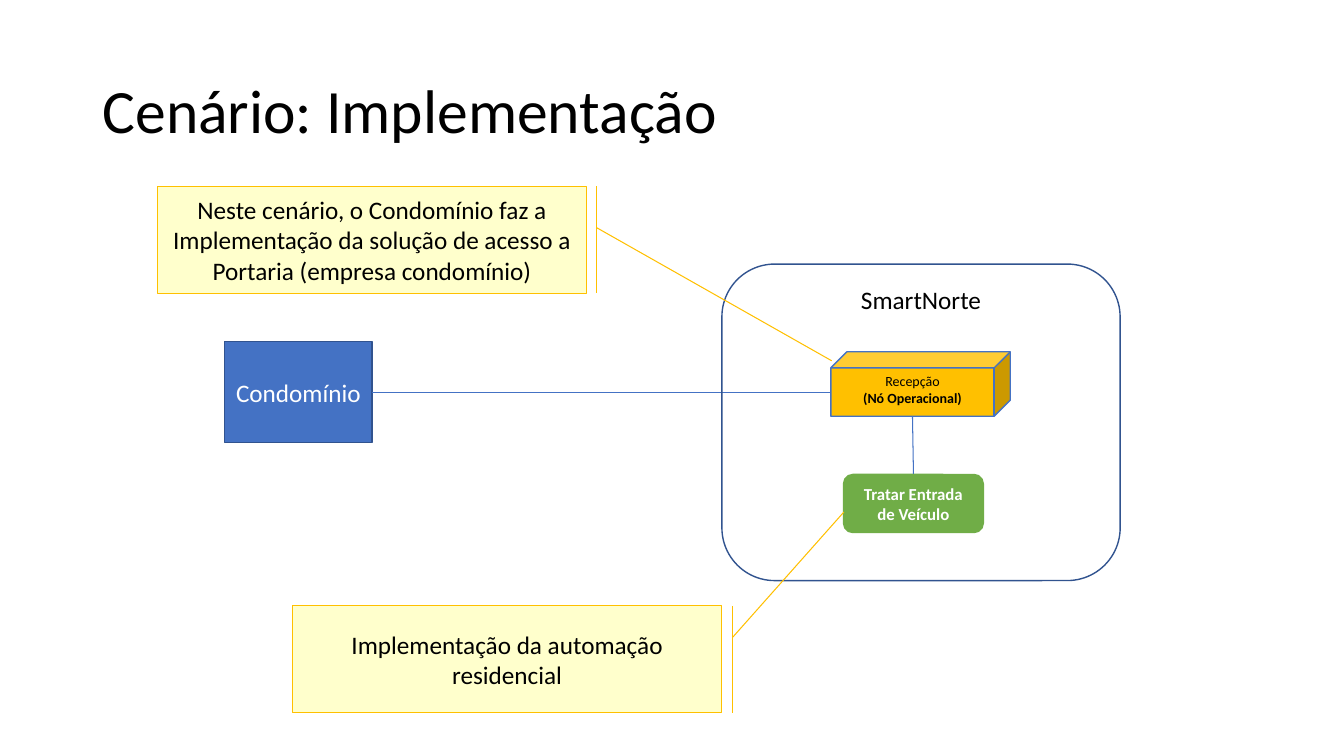
from lxml import etree
from pptx import Presentation
from pptx import util as u
from pptx.dml.color import RGBColor
from pptx.enum import shapes, text
from pptx.oxml.ns import qn

SCALE = 9144  # EMU in one px, 100 px to the inch
HUES = {
    "black": "000000", "white": "FFFFFF", "blue": "4472C4", "navy": "31538F",
    "gold": "FFC000", "green": "70AD47", "cream": "FFFFCC",
}
KIND = shapes.MSO_SHAPE
LINK = shapes.MSO_CONNECTOR
MID = text.MSO_ANCHOR.MIDDLE
TOP = text.MSO_ANCHOR.TOP


def px(n):
    return u.Emu(n * SCALE)


def hue(name):
    return RGBColor.from_string(HUES[name])


class Board:
    font = "Calibri"

    def __init__(self, slide):
        self.items = slide.shapes

    def label(self, shape, lines, size, ink, anchor=MID, align=text.PP_ALIGN.CENTER):
        """Fill a shape with (words, bold) lines, one paragraph each."""
        frame = shape.text_frame
        frame.word_wrap = True
        frame.vertical_anchor = anchor
        for i, (words, bold) in enumerate(lines):
            para = frame.paragraphs[0] if i == 0 else frame.add_paragraph()
            para.text = words
            para.alignment = align
            para.font.name = self.font
            para.font.size = u.Pt(size)
            para.font.bold = bold
            para.font.color.rgb = hue(ink)
        return frame

    def title(self, box, words):
        shape = self.items.add_textbox(*map(px, box))
        frame = self.label(shape, [(words, False)], 44, "black", align=text.PP_ALIGN.LEFT)
        frame.paragraphs[0].line_spacing = 0.9

    def node(self, kind, box, lines, size=18, ink="black", fill=None, edge=None,
             width=1, anchor=MID):
        shape = self.items.add_shape(kind, *map(px, box))
        shape.shadow.inherit = False
        if fill:
            shape.fill.solid()
            shape.fill.fore_color.rgb = hue(fill)
        else:
            shape.fill.background()
        if edge:
            shape.line.color.rgb = hue(edge)
            shape.line.width = u.Pt(width)
        else:
            shape.line.fill.background()
        self.label(shape, lines, size, ink, anchor)
        return shape

    def note(self, box, words, start, tip):
        """Callout whose leader runs from start to tip, both slide points."""
        shape = self.node(KIND.LINE_CALLOUT_1_BORDER_AND_ACCENT_BAR, box,
                          [(words, False)], fill="cream", edge="gold", width=0.75)
        left, top, wide, high = box
        for i, (x, y) in enumerate((start, tip)):
            shape.adjustments[2 * i] = (y - top) / high
            shape.adjustments[2 * i + 1] = (x - left) / wide

    def link(self, kind, start, end):
        line = self.items.add_connector(kind, *map(px, start + end))
        line.line.color.rgb = hue("blue")
        line.line.width = u.Pt(0.75)
        etree.SubElement(line._element.spPr, qn("a:effectLst"))
        return line


def main():
    deck = Presentation()
    deck.slide_width, deck.slide_height = px(1333), px(750)
    board = Board(deck.slides.add_slide(deck.slide_layouts[6]))

    board.title((92, 40, 1150, 145), "Cenário: Implementação")
    board.node(KIND.CUBE, (824, 349, 178, 64),
               [("Recepção", False), ("(Nó Operacional)", True)],
               size=10, fill="gold", edge="blue", anchor=TOP)
    task = board.node(KIND.ROUNDED_RECTANGLE, (836, 470, 140, 59),
                      [("Tratar Entrada de Veículo", True)],
                      size=12, ink="white", fill="green")
    condo = board.node(KIND.RECTANGLE, (223, 339, 146, 100),
                       [("Condomínio", False)], ink="white", fill="blue", edge="navy")
    board.link(LINK.CURVE, (369, 389), (824, 389)).begin_connect(condo, 3)
    board.node(KIND.ROUNDED_RECTANGLE, (716, 262, 395, 314),
               [("SmartNorte", False)], edge="navy", anchor=TOP)
    board.note((156, 185, 426, 106),
               "Neste cenário, o Condomínio faz a Implementação da solução "
               "de acesso a Portaria (empresa condomínio)",
               (592, 226), (825, 358))
    board.note((290, 601, 426, 106), "Implementação da automação residencial",
               (727, 632), (837, 508))
    board.link(LINK.STRAIGHT, (905, 413), (906, 470)).end_connect(task, 0)

    deck.save("out.pptx")


if __name__ == "__main__":
    main()
